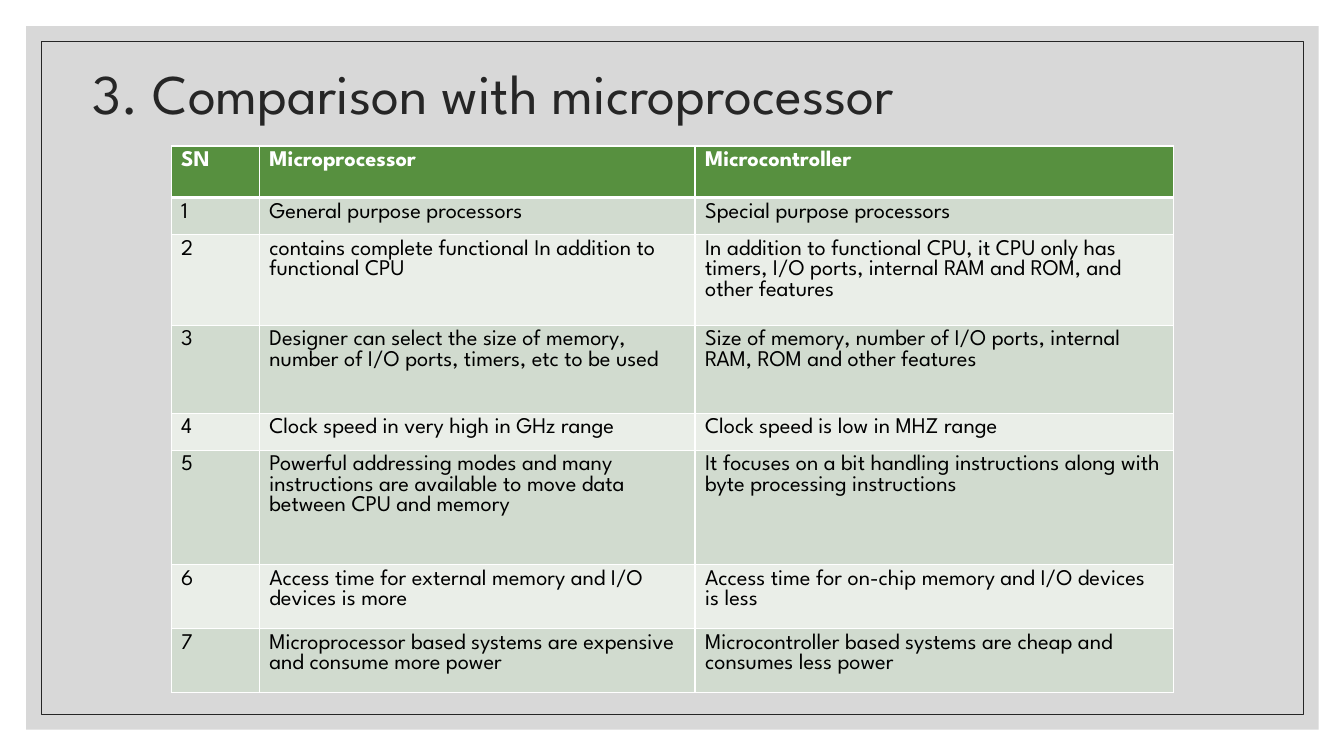
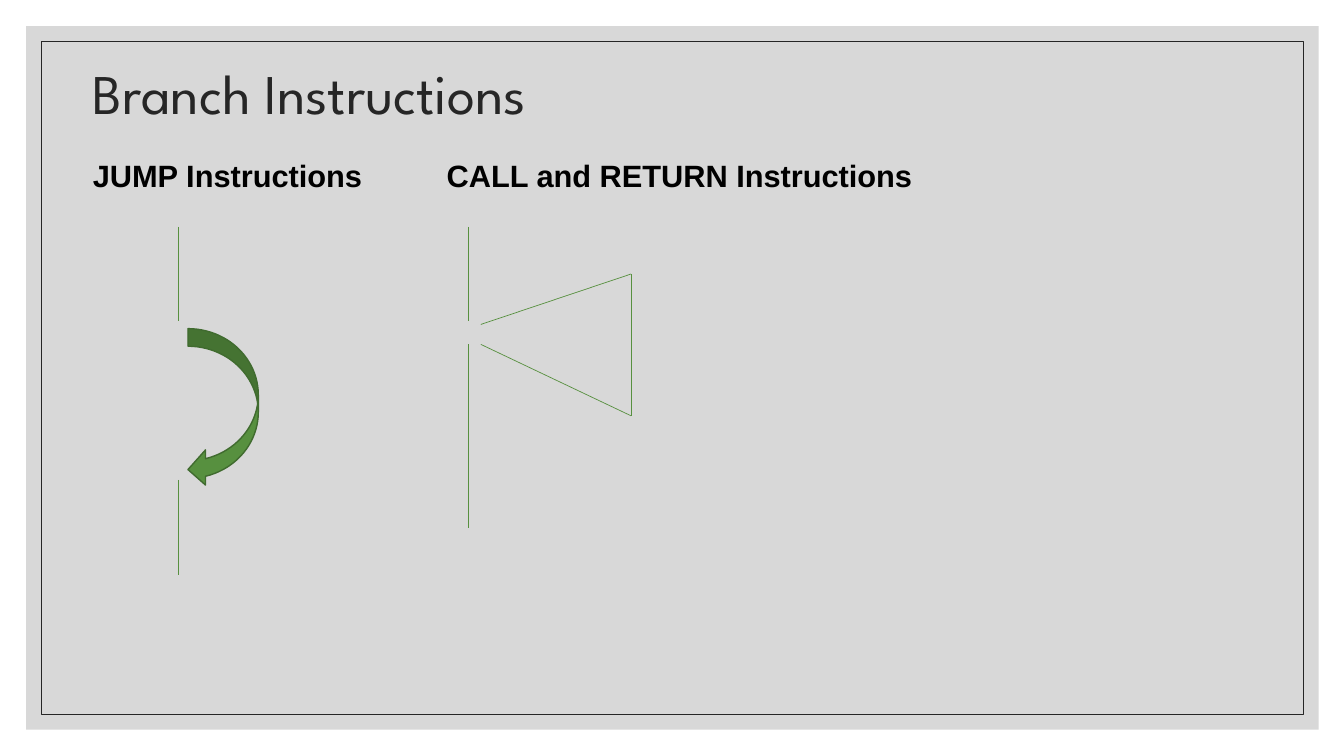
from lxml import etree
from pptx import Presentation
from pptx.dml.color import RGBColor
from pptx.enum.shapes import MSO_CONNECTOR, MSO_SHAPE
from pptx.enum.text import MSO_ANCHOR
from pptx.oxml.ns import qn
from pptx.util import Pt

PX = 9525  # EMU per px, 96 px to the inch
SLIDE_W, SLIDE_H = 1280, 720

WHITE = RGBColor(0xFF, 0xFF, 0xFF)
BLACK = RGBColor(0x00, 0x00, 0x00)
INK = RGBColor(0x26, 0x26, 0x26)
PANEL = RGBColor(0xBF, 0xBF, 0xBF)
GREEN = RGBColor(0x57, 0x90, 0x3F)
DARK_GREEN = RGBColor(0x40, 0x6B, 0x2F)
BAND_DARK = RGBColor(0xD1, 0xDB, 0xCF)
BAND_LIGHT = RGBColor(0xEA, 0xEE, 0xE8)

MAIN_FONT = "League Spartan"
HEADING_FONT = "Arial"

RECT = MSO_SHAPE.RECTANGLE
CURVED_ARROW = MSO_SHAPE.CURVED_LEFT_ARROW
STRAIGHT = MSO_CONNECTOR.STRAIGHT
MIDDLE, TOP = MSO_ANCHOR.MIDDLE, MSO_ANCHOR.TOP

COL_WIDTHS = [84, 415, 456]
ROW_HEIGHTS = [49, 35, 84, 84, 35, 109, 59, 59]
COMPARISON = [
    ("SN", "Microprocessor", "Microcontroller"),
    ("1", "General purpose processors", "Special purpose processors"),
    ("2", "contains complete functional In addition to functional CPU",
     "In addition to functional CPU, it CPU only has timers, I/O ports, "
     "internal RAM and ROM, and other features"),
    ("3", "Designer can select the size of memory, number of I/O ports, "
     "timers, etc to be used",
     "Size of memory, number of I/O ports, internal RAM, ROM and other features"),
    ("4", "Clock speed in very high in GHz range",
     "Clock speed is low in MHZ range"),
    ("5", "Powerful addressing modes and many instructions are available "
     "to move data between CPU and memory",
     "It focuses on a bit handling instructions along with byte processing "
     "instructions"),
    ("6", "Access time for external memory and I/O devices is more",
     "Access time for on-chip memory and I/O devices is less"),
    ("7", "Microprocessor based systems are expensive and consume more power",
     "Microcontroller based systems are cheap and consumes less power"),
]


def px(*lengths):
    return [n * PX for n in lengths]


def style_font(p, name, size, color, bold=False):
    p.font.name = name
    p.font.size = Pt(size)
    p.font.color.rgb = color
    p.font.bold = bold


def add_shape(s, kind, box, fill=None, line=None, width=1, alpha=None):
    sp = s.shapes.add_shape(kind, *px(*box))
    sp.shadow.inherit = False
    if fill is None:
        sp.fill.background()
    else:
        sp.fill.solid()
        sp.fill.fore_color.rgb = fill
    if alpha is not None:
        clr = sp.fill._xPr.find(qn("a:solidFill"))[0]
        etree.SubElement(clr, qn("a:alpha"), val=str(alpha * 1000))
    if line is None:
        sp.line.fill.background()
    else:
        sp.line.color.rgb = line
        sp.line.width = Pt(width)
    return sp


def add_text(s, box, text, font, size, color, bold=False, anchor=TOP, spacing=1.0):
    tf = s.shapes.add_textbox(*px(*box)).text_frame
    tf.word_wrap = True
    tf.vertical_anchor = anchor
    p = tf.paragraphs[0]
    p.text = text
    p.line_spacing = spacing
    style_font(p, font, size, color, bold)


def add_line(s, start, end):
    c = s.shapes.add_connector(STRAIGHT, *px(*start, *end))
    c.line.color.rgb = GREEN
    c.line.width = Pt(0.5)
    etree.SubElement(c._element.spPr, qn("a:effectLst"))


def add_slide(prs, title):
    """Blank slide with the shared panel, frame and title."""
    s = prs.slides.add_slide(prs.slide_layouts[6])
    add_shape(s, RECT, (25, 25, 1231, 670), fill=PANEL, alpha=60)
    add_shape(s, RECT, (39, 39, 1202, 641), line=INK, width=0.5)
    add_text(s, (79, 57, 1133, 69), title, MAIN_FONT, 40, INK,
             anchor=MIDDLE, spacing=0.9)
    return s


def set_borders(cell, top, bottom):
    tc_pr = cell._tc.get_or_add_tcPr()
    for side, width in (("L", 1), ("R", 1), ("T", top), ("B", bottom)):
        ln = etree.SubElement(tc_pr, qn(f"a:ln{side}"), w=str(Pt(width)))
        fill = etree.SubElement(ln, qn("a:solidFill"))
        etree.SubElement(fill, qn("a:srgbClr"), val=str(WHITE))


def style_cell(cell, row):
    header = row == 0
    set_borders(cell, top=3 if row == 1 else 1, bottom=3 if header else 1)
    cell.fill.solid()
    cell.fill.fore_color.rgb = GREEN if header else (BAND_LIGHT, BAND_DARK)[row % 2]
    style_font(cell.text_frame.paragraphs[0], MAIN_FONT, 16,
               WHITE if header else BLACK, header)


def add_table(s, left, top, rows, widths, heights):
    box = px(left, top, sum(widths), sum(heights))
    table = s.shapes.add_table(len(rows), len(widths), *box).table
    for col, width in zip(table.columns, px(*widths)):
        col.width = width
    for row, height in zip(table.rows, px(*heights)):
        row.height = height
    for i, texts in enumerate(rows):
        for j, text in enumerate(texts):
            cell = table.cell(i, j)
            cell.text = text
            style_cell(cell, i)


def comparison_slide(prs):
    s = add_slide(prs, "3. Comparison with microprocessor")
    add_table(s, 163, 139, COMPARISON, COL_WIDTHS, ROW_HEIGHTS)


def branch_slide(prs):
    s = add_slide(prs, "Branch Instructions")
    for left, width, heading in ((79, 330, "JUMP Instructions"),
                                 (416, 600, "CALL and RETURN Instructions")):
        add_text(s, (left, 141, width, 48), heading, HEADING_FONT, 22, BLACK,
                 bold=True, spacing=1.1)

    # Program flow, broken where the branch happens
    for x, top, bottom in ((170, 216, 306), (170, 457, 548),
                           (446, 216, 306), (446, 328, 503)):
        add_line(s, (x, top), (x, bottom))

    # Jump
    add_shape(s, CURVED_ARROW, (179, 313, 67, 151), fill=GREEN, line=DARK_GREEN)

    # Call to the subroutine and return
    route = [(458, 309), (601, 261), (601, 396), (458, 328)]
    for start, end in zip(route, route[1:]):
        add_line(s, start, end)


def main():
    prs = Presentation()
    prs.slide_width, prs.slide_height = px(SLIDE_W, SLIDE_H)
    comparison_slide(prs)
    branch_slide(prs)
    prs.save("out.pptx")


if __name__ == "__main__":
    main()
